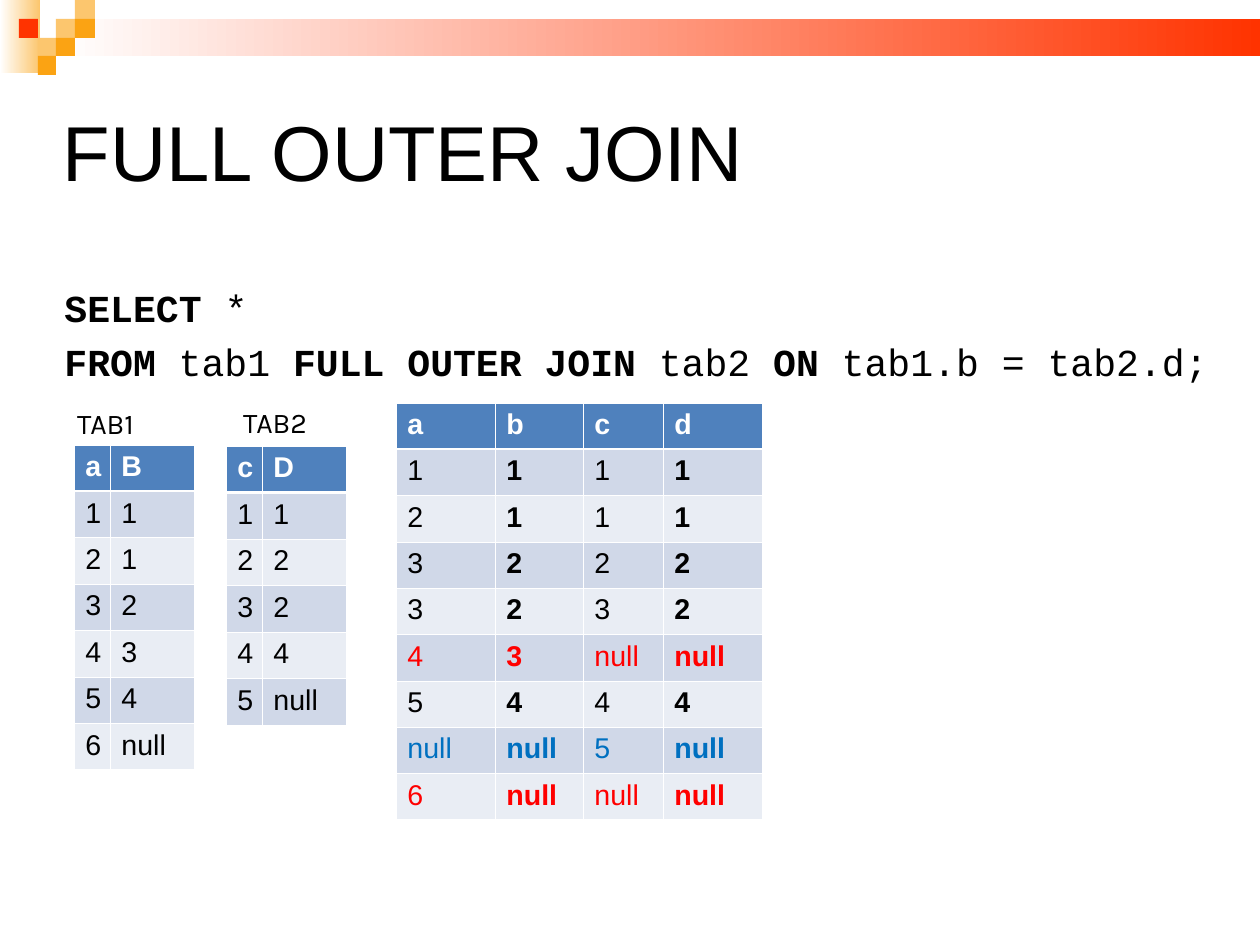
from dataclasses import dataclass, field

from lxml import etree
from pptx import Presentation
from pptx import util as u
from pptx.dml.color import RGBColor
from pptx.enum import shapes, text
from pptx.oxml import ns

PX = 8000  # EMU per px
BLACK, WHITE, RED, BLUE = "000000", "FFFFFF", "FF0000", "0070C0"
ORANGE, PALE_ORANGE, SCARLET = "FBA313", "FCC66E", "FF3300"
HEADER_FILL, BAND_FILLS = "4F81BD", ("D0D8E8", "E9EDF4")
THIN, THICK = 0.45, 1.47
INDENT = 42
GRID_EDGES = (0, 19, 38, 56, 75, 95)


@dataclass
class Block:
    left: int
    top: int
    width: int
    height: int
    color: str
    fades: bool = False


@dataclass
class DataTable:
    left: int
    top: int
    height: int
    columns: tuple[int, ...]
    rows: list[str]
    bold_columns: tuple[int, ...] = ()
    row_colors: dict[int, str] = field(default_factory=dict)


@dataclass
class Label:
    left: int
    top: int
    caption: str


def px(length: int) -> u.Emu:
    return u.Emu(length * PX)


def rgb(color: str) -> RGBColor:
    return RGBColor.from_string(color)


def add_span(para, content: str, *, size: float = 18, face: str = "Arial",
             color: str = BLACK, bold: bool = False) -> None:
    span = para.add_run()
    span.text = content
    span.font.size = u.Pt(size)
    span.font.name = face
    span.font.color.rgb = rgb(color)
    span.font.bold = bold


def place(box, left: int, top: int, width: int, height: int) -> None:
    box.left, box.top, box.width, box.height = map(px, (left, top, width, height))


def grid_block(column: int, row: int, color: str) -> Block:
    left, top = GRID_EDGES[column], GRID_EDGES[row]
    return Block(left, top, GRID_EDGES[column + 1] - left, GRID_EDGES[row + 1] - top, color)


def draw_block(page, block: Block) -> None:
    box = page.shapes.add_shape(shapes.MSO_SHAPE.RECTANGLE, px(block.left), px(block.top),
                                px(block.width), px(block.height))
    box.shadow.inherit = False
    box.line.fill.background()
    if block.fades:
        box.fill.gradient()
        box.fill.gradient_angle = 180
        for stop, color in zip(box.fill.gradient_stops, (block.color, WHITE)):
            stop.color.rgb = rgb(color)
    else:
        box.fill.solid()
        box.fill.fore_color.rgb = rgb(block.color)


def set_borders(cell, top: float, bottom: float) -> None:
    properties = cell._tc.get_or_add_tcPr()
    for side, width in (("L", THIN), ("R", THIN), ("T", top), ("B", bottom)):
        line = etree.SubElement(properties, ns.qn(f"a:ln{side}"), w=str(int(u.Pt(width))))
        fill = etree.SubElement(line, ns.qn("a:solidFill"))
        etree.SubElement(fill, ns.qn("a:srgbClr"), val=WHITE)


def draw_table(page, data: DataTable) -> None:
    frame = page.shapes.add_table(len(data.rows), len(data.columns), px(data.left),
                                  px(data.top), px(sum(data.columns)), px(data.height))
    table = frame.table
    table.horz_banding = False
    for column, width in zip(table.columns, data.columns):
        column.width = px(width)
    for r, values in enumerate(data.rows):
        table.rows[r].height = u.Emu(data.height * PX // len(data.rows))
        header = r == 0
        for c, value in enumerate(values.split()):
            cell = table.cell(r, c)
            set_borders(cell, THICK if r == 1 else THIN, THICK if header else THIN)
            cell.fill.solid()
            cell.fill.fore_color.rgb = rgb(HEADER_FILL if header else BAND_FILLS[(r - 1) % 2])
            add_span(cell.text_frame.paragraphs[0], value,
                     color=WHITE if header else data.row_colors.get(r, BLACK),
                     bold=header or c in data.bold_columns)


def draw_label(page, label: Label) -> None:
    box = page.shapes.add_textbox(px(label.left), px(label.top), px(97), px(46))
    box.text_frame.word_wrap = False
    box.text_frame.auto_size = text.MSO_AUTO_SIZE.SHAPE_TO_FIT_TEXT
    add_span(box.text_frame.paragraphs[0], label.caption, face="Karla")


def write_title(page) -> None:
    box = page.shapes.title
    place(box, 63, 63, 1134, 189)
    frame = box.text_frame
    frame.auto_size = text.MSO_AUTO_SIZE.NONE
    frame.vertical_anchor = text.MSO_ANCHOR.MIDDLE
    frame.margin_left = frame.margin_right = frame.margin_top = frame.margin_bottom = 0
    para = frame.paragraphs[0]
    para.alignment = text.PP_ALIGN.LEFT
    para.line_spacing = 0.87
    add_span(para, "FULL OUTER JOIN", size=49)


def write_query(page) -> None:
    box = page.placeholders[1]
    place(box, 53, 285, 1207, 584)
    frame = box.text_frame
    frame.auto_size = text.MSO_AUTO_SIZE.NONE
    frame.vertical_anchor = text.MSO_ANCHOR.TOP
    for number, line in enumerate(QUERY):
        para = frame.add_paragraph() if number else frame.paragraphs[0]
        properties = para._p.get_or_add_pPr()
        properties.set("marL", str(px(INDENT)))
        properties.set("indent", str(px(-INDENT)))
        etree.SubElement(properties, ns.qn("a:buNone"))
        para.alignment = text.PP_ALIGN.LEFT
        para.line_spacing = 0.87
        para.space_before = u.Pt(8.8 if number else 0)
        for position, part in enumerate(line):
            add_span(para, part, size=24, face="Courier New", bold=position % 2 == 0)


# Keywords and plain code alternate within each line
QUERY = [
    ("SELECT ", "*"),
    ("FROM ", "tab1 ", "FULL OUTER JOIN", " tab2 ", "ON ", "tab1.b = tab2.d;"),
]
BLOCKS = [
    Block(0, 0, 40, 73, PALE_ORANGE, fades=True),
    Block(57, 19, 1203, 37, SCARLET, fades=True),
    grid_block(3, 1, PALE_ORANGE),
    grid_block(4, 0, PALE_ORANGE),
    grid_block(4, 1, ORANGE),
    grid_block(2, 2, PALE_ORANGE),
    grid_block(1, 1, SCARLET),
    grid_block(3, 2, ORANGE),
    grid_block(2, 3, ORANGE),
]
TABLES = [
    DataTable(74, 445, 325, (36, 84), ["a B", "1 1", "2 1", "3 2", "4 3", "5 4", "6 null"]),
    DataTable(226, 446, 279, (36, 84), ["c D", "1 1", "2 2", "3 2", "4 4", "5 null"]),
    DataTable(396, 403, 417, (99, 88, 80, 99),
              ["a b c d", "1 1 1 1", "2 1 1 1", "3 2 2 2", "3 2 3 2", "4 3 null null",
               "5 4 4 4", "null null 5 null", "6 null null null"],
              bold_columns=(1, 3), row_colors={5: RED, 7: BLUE, 8: RED}),
]
LABELS = [Label(66, 400, "TAB1"), Label(232, 399, "TAB2")]


def main() -> None:
    deck = Presentation()
    deck.slide_width, deck.slide_height = px(1260), px(945)
    page = deck.slides.add_slide(deck.slide_layouts[1])

    # Corner mosaic and banner
    for block in BLOCKS:
        draw_block(page, block)

    # Title and query
    write_title(page)
    write_query(page)

    # Tables and their labels
    for data in TABLES:
        draw_table(page, data)
    for label in LABELS:
        draw_label(page, label)

    deck.save("out.pptx")


if __name__ == "__main__":
    main()
